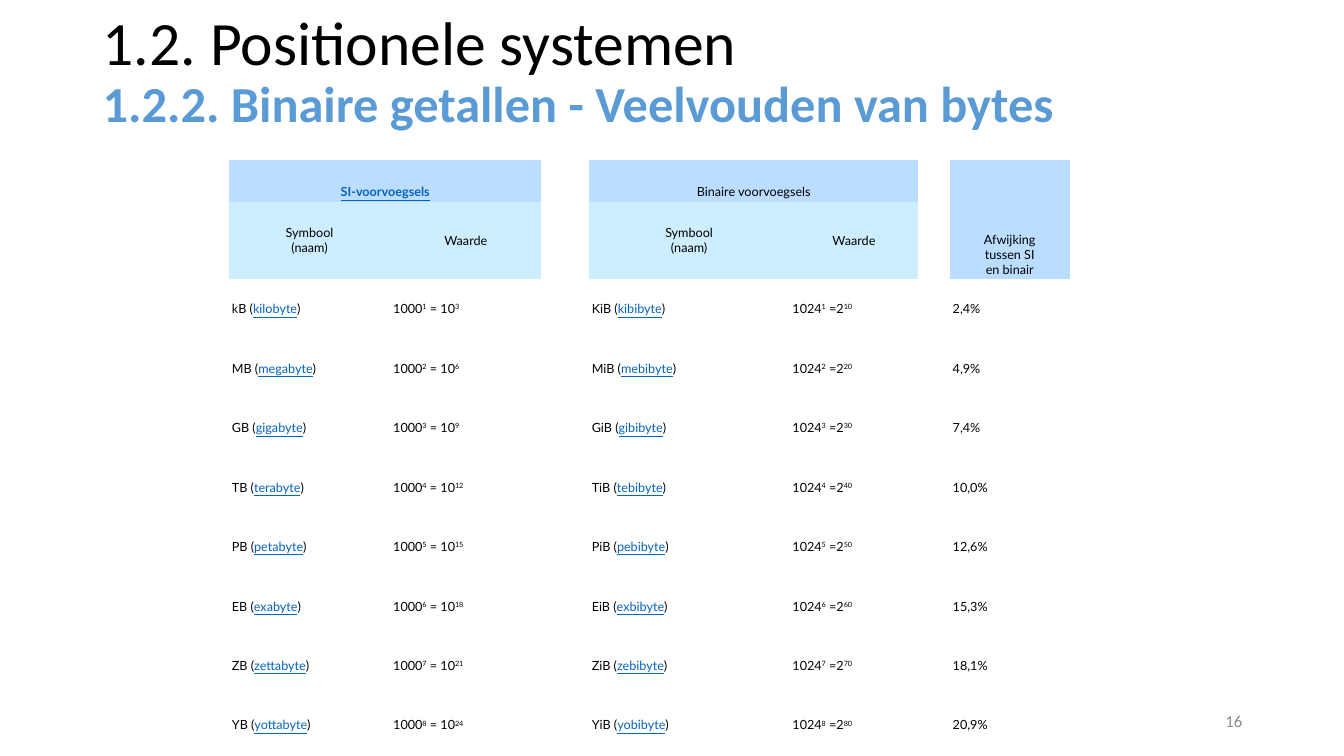
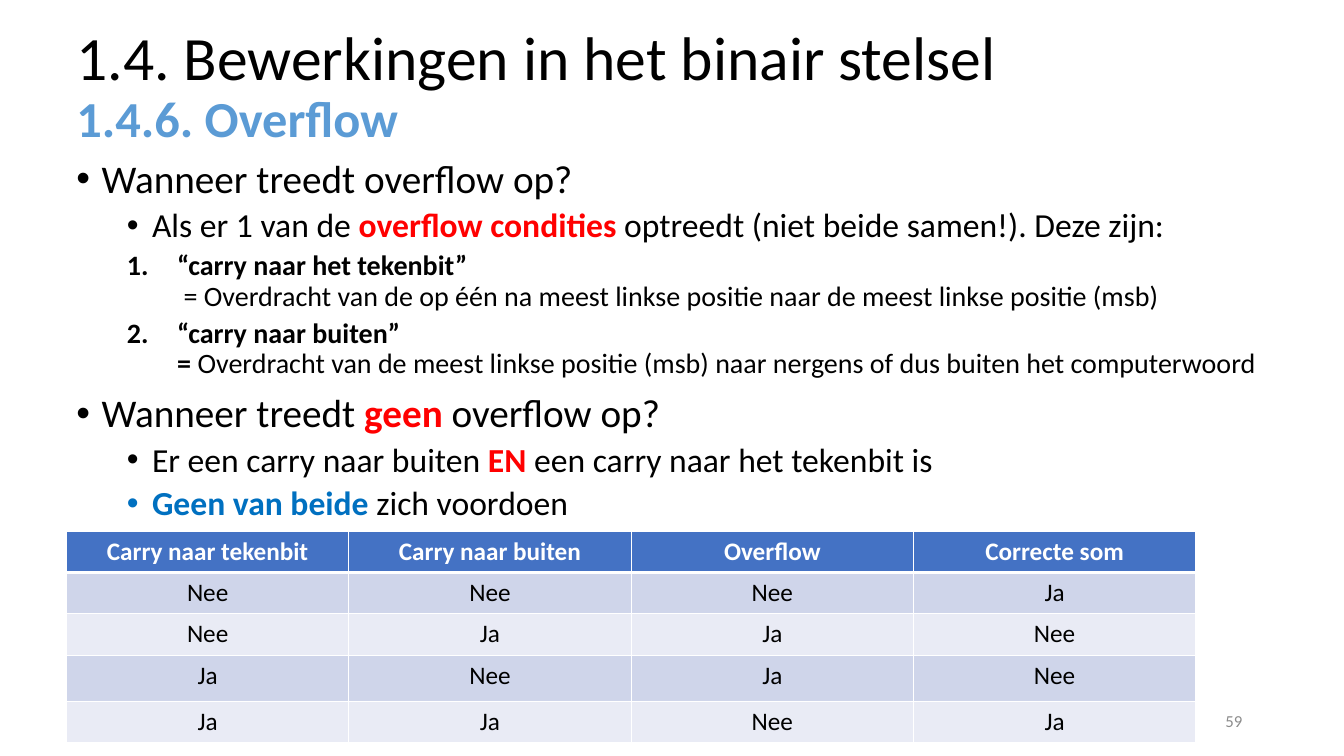
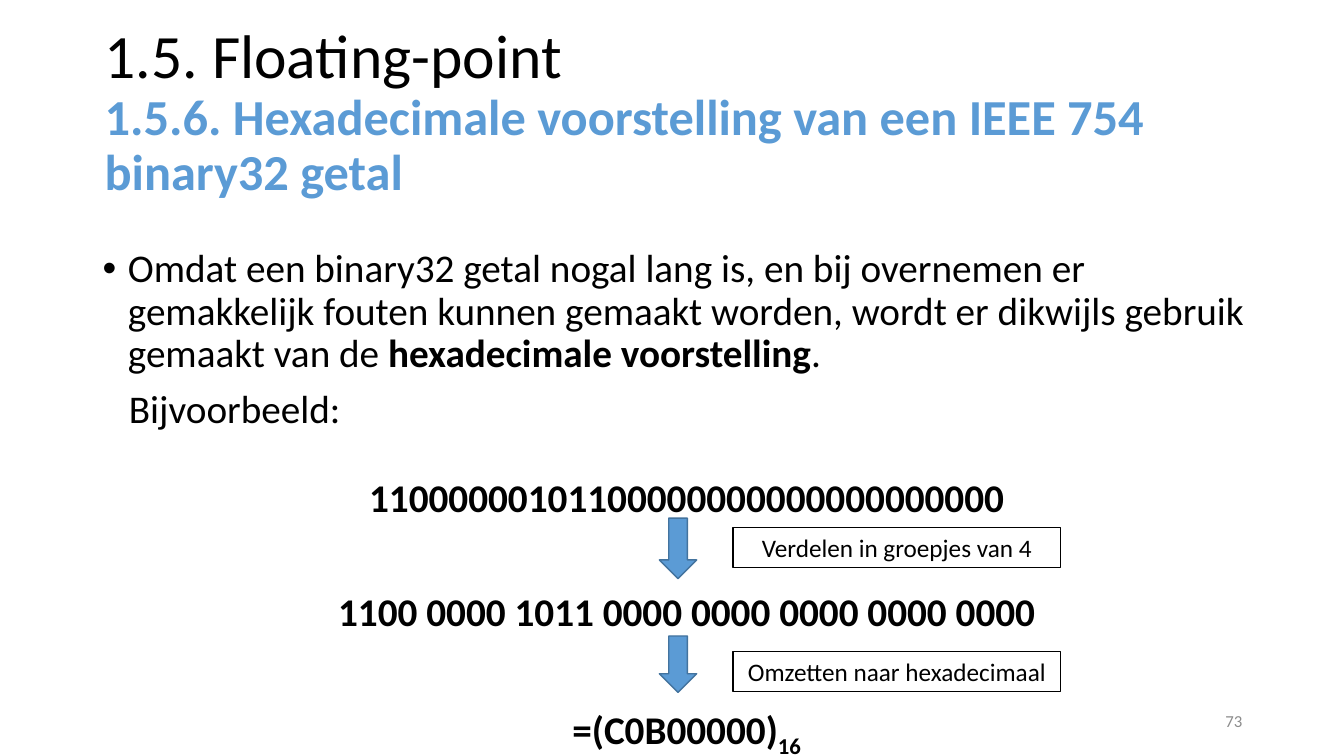
from dataclasses import dataclass
from typing import Optional

from lxml.etree import SubElement
from pptx import Presentation
from pptx.dml.color import RGBColor
from pptx.enum.shapes import MSO_SHAPE
from pptx.enum.text import MSO_ANCHOR, PP_ALIGN
from pptx.oxml.ns import qn
from pptx.util import Inches, Pt


@dataclass(frozen=True)
class Theme:
    """Colours, fonts and type sizes shared by the slides."""
    black: str = "000000"
    white: str = "FFFFFF"
    accent: str = "5B9BD5"
    accent_line: str = "43739E"
    red: str = "FF0000"
    blue: str = "0070C0"
    link: str = "0563C1"
    grey: str = "8C8C8C"
    group_fill: str = "BBDDFF"
    column_fill: str = "CCEEFF"
    header_fill: str = "4472C4"
    bands: tuple = ("CFD5EA", "E9EBF5")
    font: str = "Calibri"
    table_font: str = "Lato"
    title: float = 44
    subtitle: float = 36
    body: float = 28
    second: float = 24
    third: float = 20
    label: float = 18
    number: float = 12
    small: float = 9
    plain_table: str = "{2D5ABB26-0587-4C30-8999-92F81FD0307C}"


THEME = Theme()


@dataclass(frozen=True)
class Span:
    """A stretch of text with one look."""
    text: str
    bold: bool = False
    color: str = THEME.black
    underline: bool = False
    baseline: int = 0
    size: Optional[float] = None


@dataclass(frozen=True)
class Line:
    """A paragraph with its spans and layout."""
    spans: tuple
    size: float = THEME.body
    bullet: str = ""
    margin: float = 0
    hanging: float = 0
    before: float = 0
    spacing: float = 0.9
    align: PP_ALIGN = PP_ALIGN.LEFT
    font: str = THEME.font


def rgb(color):
    """Turn a hex string into a colour."""
    return RGBColor.from_string(color)


def write_span(para, span, line):
    """Add one span, with its line breaks, to a paragraph."""
    for index, part in enumerate(span.text.split("\n")):
        if index:
            para.add_line_break()
        if not part:
            continue
        run = para.add_run()
        run.text = part
        run.font.name = line.font
        run.font.size = Pt(span.size or line.size)
        run.font.bold = span.bold
        run.font.underline = span.underline
        run.font.color.rgb = rgb(span.color)
        if span.baseline:
            run._r.get_or_add_rPr().set("baseline", str(span.baseline * 1000))


def add_bullet(para, line):
    """Give a paragraph its bullet or number and its indents."""
    props = para._p.get_or_add_pPr()
    props.set("marL", str(Inches(line.margin)))
    props.set("indent", str(Inches(-line.hanging)))
    if line.bullet == "1.":
        SubElement(props, qn("a:buFont"), typeface="+mj-lt")
        SubElement(props, qn("a:buAutoNum"), type="arabicPeriod")
    elif line.bullet:
        SubElement(props, qn("a:buFont"), typeface="Arial")
        SubElement(props, qn("a:buChar"), char=line.bullet)


def write(frame, lines):
    """Fill a text frame with paragraphs."""
    for index, line in enumerate(lines):
        para = frame.add_paragraph() if index else frame.paragraphs[0]
        para.alignment = line.align
        para.line_spacing = line.spacing
        if index:
            para.space_before = Pt(line.before)
        add_bullet(para, line)
        for span in line.spans:
            write_span(para, span, line)


def add_text(page, area, lines, anchor=MSO_ANCHOR.TOP):
    """Add a wrapping text box."""
    box = page.shapes.add_textbox(*map(Inches, area))
    box.text_frame.word_wrap = True
    box.text_frame.vertical_anchor = anchor
    write(box.text_frame, lines)


def add_page(deck, number, title, subtitle, left, top, width=11.5):
    """Add a blank slide with its two-part title and its number."""
    page = deck.slides.add_slide(deck.slide_layouts[6])
    heading = Line((Span(title + "\n", size=THEME.title),
                    Span(subtitle, True, THEME.accent)), THEME.subtitle)
    add_text(page, (left, top, width, 1.45), [heading], MSO_ANCHOR.MIDDLE)
    footer = Line((Span(str(number), color=THEME.grey),), THEME.number,
                  spacing=1, align=PP_ALIGN.RIGHT)
    add_text(page, (9.42, 6.95, 3, 0.4), [footer], MSO_ANCHOR.MIDDLE)
    return page


def add_shape(page, kind, area, fill, line_color, line_width):
    """Add a preset shape with plain fill and outline."""
    shape = page.shapes.add_shape(kind, *map(Inches, area))
    shape.shadow.inherit = False
    if fill:
        shape.fill.solid()
        shape.fill.fore_color.rgb = rgb(fill)
    else:
        shape.fill.background()
    shape.line.color.rgb = rgb(line_color)
    shape.line.width = Pt(line_width)
    return shape


def add_label(page, top, text):
    """Add an outlined label that explains a step."""
    box = add_shape(page, MSO_SHAPE.RECTANGLE, (7.27, top, 3.25, 0.4),
                    None, THEME.black, 0.75)
    write(box.text_frame, [Line((Span(text),), THEME.label, spacing=1,
                                align=PP_ALIGN.CENTER)])


def add_grid(page, left, top, widths, heights):
    """Add a table without style and with the given columns and rows."""
    frame = page.shapes.add_table(
        len(heights), len(widths), Inches(left), Inches(top),
        Inches(sum(widths)), Inches(sum(heights)))
    table = frame.table
    table.first_row = table.horz_banding = False
    table._tbl.tblPr.find(qn("a:tableStyleId")).text = THEME.plain_table
    for column, width in zip(table.columns, widths):
        column.width = Inches(width)
    for row, height in zip(table.rows, heights):
        row.height = Inches(height)
    return table


def fill_cell(cell, color):
    """Give a cell a solid fill."""
    cell.fill.solid()
    cell.fill.fore_color.rgb = rgb(color)


def add_borders(cell, top, bottom):
    """Draw white borders around a cell."""
    props = cell._tc.get_or_add_tcPr()
    for side, width in (("L", 1), ("R", 1), ("T", top), ("B", bottom)):
        border = SubElement(props, qn("a:ln" + side), w=str(Pt(width)))
        fill = SubElement(border, qn("a:solidFill"))
        SubElement(fill, qn("a:srgbClr"), val=THEME.white)


def write_small(cell, spans, align=PP_ALIGN.LEFT, anchor=MSO_ANCHOR.MIDDLE):
    """Write small text into a cell of the prefix table."""
    cell.vertical_anchor = anchor
    write(cell.text_frame, [Line(spans, THEME.small, spacing=1, align=align,
                                 font=THEME.table_font)])


def write_head(cell, span, fill, anchor=MSO_ANCHOR.MIDDLE):
    """Write a filled and centred heading cell."""
    write_small(cell, (span,), PP_ALIGN.CENTER, anchor)
    fill_cell(cell, fill)


def unit_spans(symbol, name):
    """Return a unit symbol followed by its linked name."""
    return (Span(f"{symbol}B ("),
            Span(f"{name}byte", color=THEME.link, underline=True), Span(")"))


def power_spans(base, exponent, equals, result):
    """Return a power written in two bases."""
    return (Span(base), Span(str(exponent), baseline=30),
            Span(equals), Span(str(result), baseline=30))


def add_prefix_table(page):
    """Add the table of decimal and binary prefixes."""
    prefixes = [
        ("k", "kilo", "Ki", "kibi", "2,4%"),
        ("M", "mega", "Mi", "mebi", "4,9%"),
        ("G", "giga", "Gi", "gibi", "7,4%"),
        ("T", "tera", "Ti", "tebi", "10,0%"),
        ("P", "peta", "Pi", "pebi", "12,6%"),
        ("E", "exa", "Ei", "exbi", "15,3%"),
        ("Z", "zetta", "Zi", "zebi", "18,1%"),
        ("Y", "yotta", "Yi", "yobi", "20,9%"),
    ]
    table = add_grid(page, 2.27, 1.59, (1.6, 1.5, 0.47, 1.99, 1.28, 0.31, 1.19),
                     [0.41, 0.77] + [0.59] * len(prefixes))
    for cell in table.iter_cells():
        cell.margin_left = cell.margin_right = Inches(0.03)
        cell.margin_top = cell.margin_bottom = Inches(0.02)
    for gap in (2, 5):
        table.cell(0, gap).merge(table.cell(len(prefixes) + 1, gap))
        fill_cell(table.cell(0, gap), THEME.white)
    groups = (
        (0, 0, 1, Span("SI-voorvoegsels", True, THEME.link, True)),
        (3, 0, 4, Span("Binaire voorvoegsels")),
        (6, 1, 6, Span("Afwijking\ntussen SI\nen binair")),
    )
    for first, last_row, last, span in groups:
        table.cell(0, first).merge(table.cell(last_row, last))
        write_head(table.cell(0, first), span, THEME.group_fill, MSO_ANCHOR.BOTTOM)
    for first in (0, 3):
        for offset, text in enumerate(("Symbool\n(naam)", "Waarde")):
            write_head(table.cell(1, first + offset), Span(text), THEME.column_fill)
    for power, (symbol, name, binary, binary_name, deviation) in enumerate(prefixes, 1):
        contents = {
            0: unit_spans(symbol, name),
            1: power_spans("1000", power, " = 10", 3 * power),
            3: unit_spans(binary, binary_name),
            4: power_spans("1024", power, " =2", 10 * power),
            6: (Span(deviation),),
        }
        for column, spans in contents.items():
            write_small(table.cell(power + 1, column), spans)


def add_overflow_table(page):
    """Add the banded table of carries and overflow."""
    rows = (
        ("Carry naar tekenbit", "Carry naar buiten", "Overflow", "Correcte som"),
        ("Nee", "Nee", "Nee", "Ja"),
        ("Nee", "Ja", "Ja", "Nee"),
        ("Ja", "Nee", "Ja", "Nee"),
        ("Ja", "Ja", "Nee", "Ja"),
    )
    table = add_grid(page, 0.66, 5.27, [2.8] * 4, (0.41, 0.41, 0.41, 0.46, 0.41))
    for index, row in enumerate(rows):
        head = index == 0
        for column, text in enumerate(row):
            cell = table.cell(index, column)
            add_borders(cell, 3 if index == 1 else 1, 3 if head else 1)
            fill_cell(cell, THEME.header_fill if head else THEME.bands[(index - 1) % 2])
            span = Span(text, head, THEME.white if head else THEME.black)
            write(cell.text_frame, [Line((span,), THEME.label, spacing=1,
                                         align=PP_ALIGN.CENTER)])


def point(*spans):
    """Return a first-level bullet."""
    return Line(spans, THEME.body, "•", 0.25, 0.25, 10)


def subpoint(*spans):
    """Return a second-level bullet."""
    return Line(spans, THEME.second, "•", 0.75, 0.25, 5)


def numbered(*spans):
    """Return a numbered item."""
    return Line(spans, THEME.third, "1.", 1, 0.5, 5)


def bits(before, *spans):
    """Return a centred bold line of digits."""
    return Line(spans, before=before, align=PP_ALIGN.CENTER)


def build_prefixes(deck):
    """Build the slide on multiples of bytes."""
    page = add_page(deck, 16, "1.2. Positionele systemen",
                    "1.2.2. Binaire getallen - Veelvouden van bytes", 0.92, 0)
    add_prefix_table(page)


def build_overflow(deck):
    """Build the slide on overflow."""
    page = add_page(deck, 59, "1.4. Bewerkingen in het binair stelsel",
                    "1.4.6. Overflow", 0.66, 0.15)
    add_text(page, (0.66, 1.53, 13.23, 5.21), [
        point(Span("Wanneer treedt overflow op?")),
        subpoint(Span("Als er 1 van de "),
                 Span("overflow condities ", True, THEME.red),
                 Span("optreedt (niet beide samen!). Deze zijn:")),
        numbered(Span("“carry naar het tekenbit”\n", True),
                 Span(" = Overdracht van de op één na meest linkse positie "
                      "naar de meest linkse positie (msb)")),
        numbered(Span("“carry naar buiten”\n= ", True),
                 Span("Overdracht van de meest linkse positie (msb) naar "
                      "nergens of dus buiten het computerwoord")),
        point(Span("Wanneer treedt "), Span("geen", True, THEME.red),
              Span(" overflow op?")),
        subpoint(Span("Er een carry naar buiten "), Span("EN", True, THEME.red),
                 Span(" een carry naar het tekenbit is")),
        subpoint(Span("Geen van beide ", True, THEME.blue), Span("zich voordoen")),
    ])
    add_overflow_table(page)


def build_hexadecimal(deck):
    """Build the slide on hexadecimal notation."""
    page = add_page(deck, 73, "1.5. Floating-point",
                    "1.5.6. Hexadecimale voorstelling van een IEEE 754 binary32 getal",
                    0.94, 0.4, 11.96)
    add_text(page, (0.92, 2.42, 11.78, 5.59), [
        point(Span("Omdat een binary32 getal nogal lang is, en bij overnemen er "
                   "gemakkelijk fouten kunnen gemaakt worden, wordt er dikwijls "
                   "gebruik gemaakt van de "),
              Span("hexadecimale voorstelling", True), Span(".")),
        Line((Span("Bijvoorbeeld:"),), margin=0.26, before=10),
        bits(33, Span("11000000101100000000000000000000", True)),
        bits(51, Span("1100 0000 1011 0000 0000 0000 0000 0000", True)),
        bits(51, Span("=(C0B00000)", True), Span("16", True, baseline=-25)),
    ])
    steps = ((5.14, 0.6, 5.23, "Verdelen in groepjes van 4"),
             (6.31, 0.56, 6.46, "Omzetten naar hexadecimaal"))
    for arrow_top, height, label_top, text in steps:
        add_label(page, label_top, text)
        add_shape(page, MSO_SHAPE.DOWN_ARROW, (6.54, arrow_top, 0.37, height),
                  THEME.accent, THEME.accent_line, 1)


def main():
    """Build and save the deck."""
    deck = Presentation()
    deck.slide_width = Inches(13.33)
    deck.slide_height = Inches(7.5)
    build_prefixes(deck)
    build_overflow(deck)
    build_hexadecimal(deck)
    deck.save("out.pptx")


if __name__ == "__main__":
    main()
